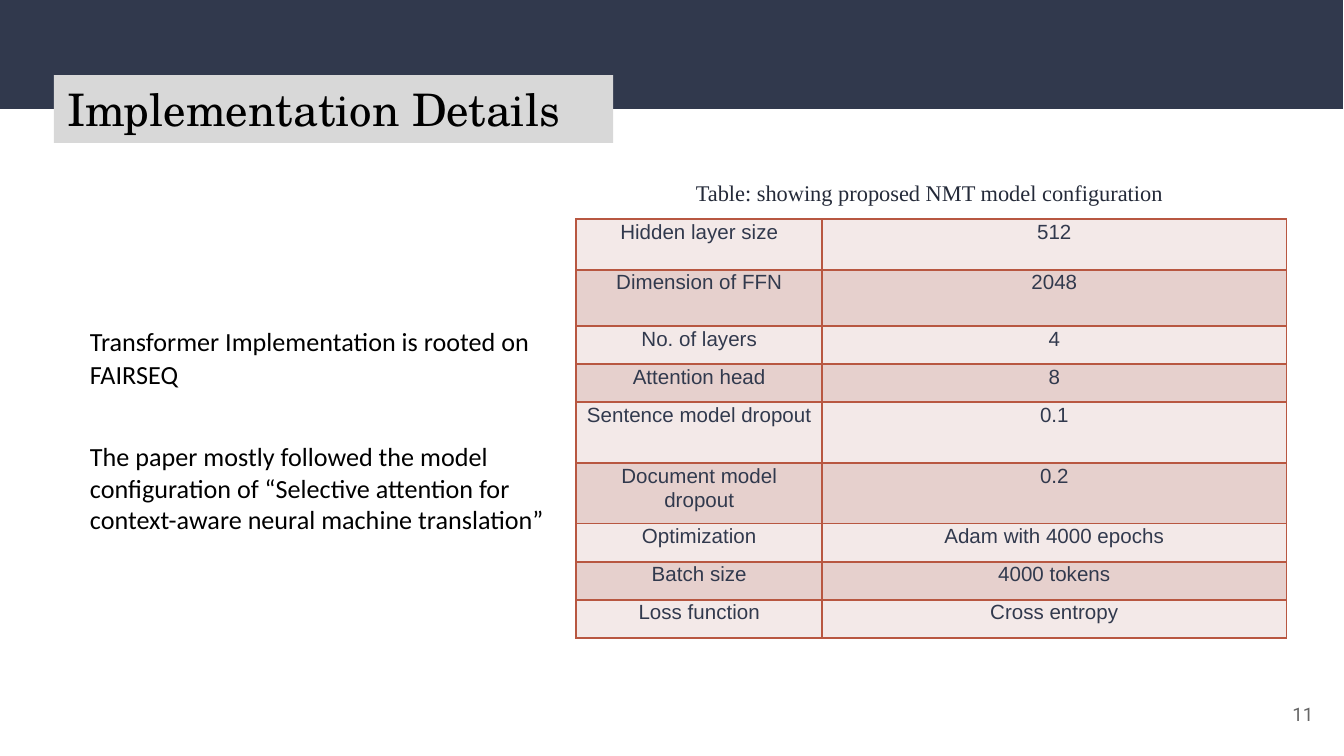
"""Build the implementation details slide with its model configuration table."""
from lxml import etree
from pptx import Presentation
from pptx import util as u
from pptx.dml.color import RGBColor
from pptx.enum import shapes, text
from pptx.oxml import ns

NAVY = RGBColor(0x31, 0x39, 0x4D)
INK = RGBColor(0x24, 0x2A, 0x39)
BLACK = RGBColor(0, 0, 0)
SILVER = RGBColor(0xD8, 0xD8, 0xD8)
GREY = RGBColor(0x66, 0x66, 0x66)
RUST = RGBColor(0xB8, 0x57, 0x41)
TINTS = RGBColor(0xF3, 0xE9, 0xE8), RGBColor(0xE6, 0xD0, 0xCD)

TITLE = "Implementation Details"
NOTES = [
    ("Transformer Implementation is rooted on FAIRSEQ", (1.45, 5.97, 9.3, 1.55), 1.07),
    ("The paper mostly followed the model configuration of “Selective attention for "
     "context-aware neural machine translation”", (1.45, 8.2, 10.13, 2.06), 1),
]
CAPTION = "Table: showing proposed NMT model configuration"
PAGE = "11"
ROWS = [
    ("Hidden layer size", "512", 0.96),
    ("Dimension of FFN", "2048", 1.06),
    ("No. of layers", "4", 0.72),
    ("Attention head", "8", 0.72),
    ("Sentence model dropout", "0.1", 1.15),
    ("Document model dropout", "0.2", 1.15),
    ("Optimization", "Adam with 4000 epochs", 0.72),
    ("Batch size", "4000 tokens", 0.72),
    ("Loss function", "Cross entropy", 0.72),
]
COLS = 4.65, 8.77


def place(shape, box):
    shape.left, shape.top, shape.width, shape.height = map(u.Cm, box)


def write(frame, words, font, size, color, align=text.PP_ALIGN.LEFT, lead=1):
    frame.text = words
    para = frame.paragraphs[0]
    para.alignment, para.line_spacing = align, lead
    para.space_before = u.Pt(0)
    face = para.runs[0].font
    face.name, face.size, face.color.rgb = font, u.Pt(size), color
    frame.word_wrap = True


def fit(frame, anchor=text.MSO_ANCHOR.TOP, pad=0.13):
    frame.auto_size = text.MSO_AUTO_SIZE.NONE
    frame.vertical_anchor = anchor
    frame.margin_left = frame.margin_right = u.Cm(0.25)
    frame.margin_top = frame.margin_bottom = u.Cm(pad)


def plain(para):
    props = para._p.get_or_add_pPr()
    props.set("marL", "0")
    props.set("indent", "0")
    etree.SubElement(props, ns.qn("a:buNone"))


def edge(cell):
    props = cell._tc.get_or_add_tcPr()
    for spot, side in enumerate(("lnL", "lnR", "lnT", "lnB")):
        line = etree.Element(ns.qn("a:" + side), w=str(u.Pt(1)))
        fill = etree.SubElement(line, ns.qn("a:solidFill"))
        etree.SubElement(fill, ns.qn("a:srgbClr"), val=str(RUST))
        props.insert(spot, line)


def label(slide, box, words, font, size, color, align=text.PP_ALIGN.LEFT,
          anchor=text.MSO_ANCHOR.TOP, pad=0.13):
    frame = slide.shapes.add_textbox(*map(u.Cm, box)).text_frame
    write(frame, words, font, size, color, align)
    fit(frame, anchor, pad)


def grid(slide):
    high = sum(row[-1] for row in ROWS)
    frame = slide.shapes.add_table(
        len(ROWS), len(COLS), u.Cm(10.89), u.Cm(4.14), u.Cm(sum(COLS)), u.Cm(high))
    table = frame.table
    table.first_row = table.horz_banding = False
    for col, wide in zip(table.columns, COLS):
        col.width = u.Cm(wide)
    for num, (*words, tall) in enumerate(ROWS):
        table.rows[num].height = u.Cm(tall)
        for cell, word in zip(table.rows[num].cells, words):
            write(cell.text_frame, word, "Arial", 11, NAVY, text.PP_ALIGN.CENTER, 1.07)
            cell.margin_left = cell.margin_right = u.Cm(0.18)
            cell.margin_top = cell.margin_bottom = 0
            cell.fill.solid()
            cell.fill.fore_color.rgb = TINTS[num % 2]
            edge(cell)


def main():
    deck = Presentation()
    deck.slide_width, deck.slide_height = u.Cm(25.4), u.Cm(14.29)
    slide = deck.slides.add_slide(deck.slide_layouts.get_by_name("Two Content"))

    band = slide.shapes.add_shape(
        shapes.MSO_SHAPE.RECTANGLE, 0, 0, u.Cm(25.38), u.Cm(2.06))
    band.shadow.inherit = False
    band.fill.solid()
    band.fill.fore_color.rgb = NAVY
    band.line.fill.background()
    slide.shapes._spTree.insert(2, band._element)

    title = slide.shapes.title
    place(title, (1.02, 1.42, 10.57, 1.28))
    title.fill.solid()
    title.fill.fore_color.rgb = SILVER
    write(title.text_frame, TITLE, "TeX Gyre Schola", 24, BLACK)
    fit(title.text_frame)

    for spot, (words, box, lead) in enumerate(NOTES, 1):
        body = slide.placeholders[spot]
        place(body, box)
        write(body.text_frame, words, "Calibri", 14, BLACK, lead=lead)
        fit(body.text_frame)
        plain(body.text_frame.paragraphs[0])

    grid(slide)
    label(slide, (12.9, 3.25, 9.5, 0.76), CAPTION, "Times New Roman", 12, INK)
    label(slide, (23.55, 12.95, 1.52, 1.09), PAGE, "Roboto", 10, GREY,
          text.PP_ALIGN.RIGHT, text.MSO_ANCHOR.MIDDLE, 0.25)
    deck.save("out.pptx")


if __name__ == "__main__":
    main()
